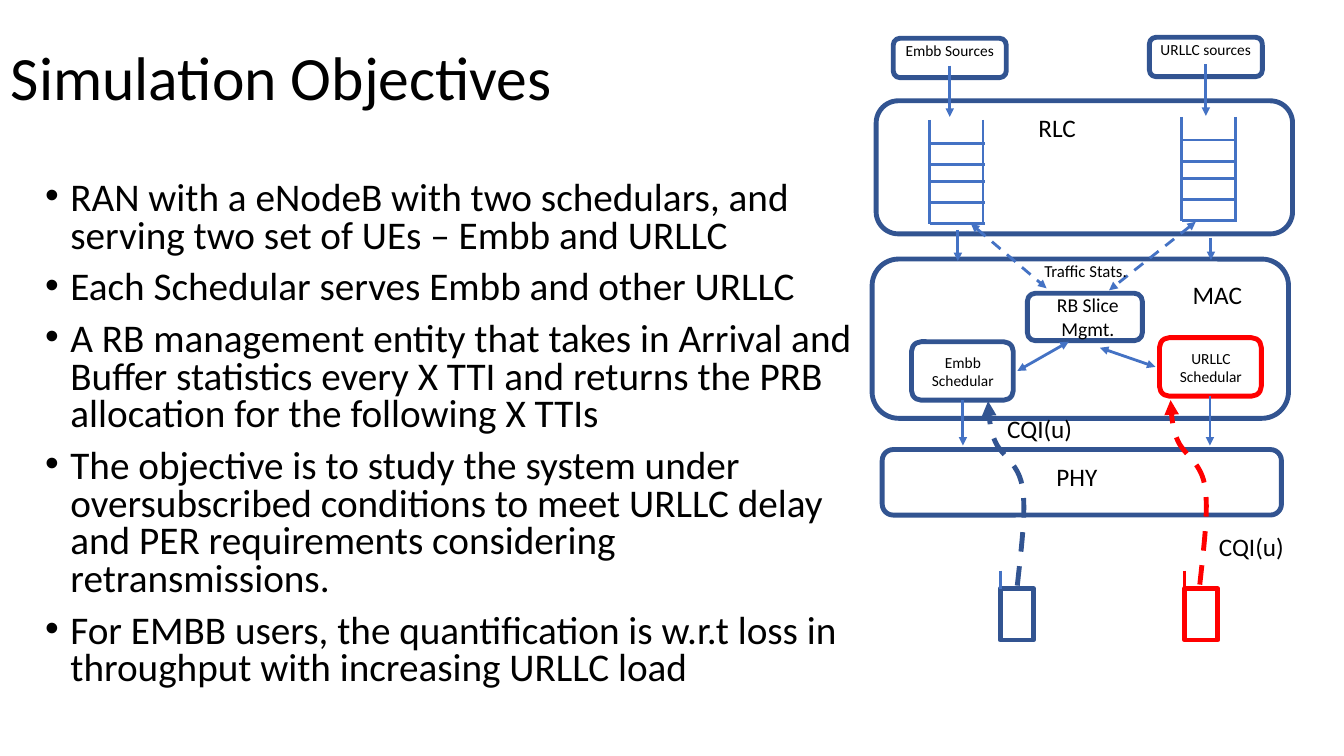
from lxml import etree
from pptx import Presentation
from pptx import util as u
from pptx.dml.color import RGBColor
from pptx.enum import dml, shapes, text
from pptx.oxml import ns

NAVY, BLUE, RED, BLACK = "325491", "4472C4", "FF0000", "000000"


def color(code):
    return RGBColor.from_string(code)


def sub(parent, tag, **attrs):
    return etree.SubElement(parent, ns.qn(tag), **attrs)


def write(par, words, size=18, align=None, space=None, before=0, bullet=False):
    if bullet:
        props = par._p.get_or_add_pPr()
        props.set("marL", str(u.Inches(0.25)))
        props.set("indent", str(u.Inches(-0.25)))
        sub(props, "a:buFont", typeface="Arial")
        sub(props, "a:buChar", char="•")
    par.alignment = align
    par.line_spacing = space
    par.space_before = u.Pt(before)
    run = par.add_run()
    run.text = words
    run.font.size = u.Pt(size)
    run.font.name = "Calibri"
    run.font.color.rgb = color(BLACK)


def bezier(a, b, c, d, steps=12):
    for i in range(1, steps + 1):
        t = i / steps
        s = 1 - t
        yield tuple(s**3 * p + 3 * s * s * t * q + 3 * s * t * t * r + t**3 * e
                    for p, q, r, e in zip(a, b, c, d))


class Board:
    def __init__(self, slide):
        self.items = slide.shapes

    def stroke(self, item, tint, width, dash=False, ends=""):
        item.line.color.rgb = color(tint)
        item.line.width = u.Pt(width)
        if dash:
            item.line.dash_style = dml.MSO_LINE.DASH
        line = item.line._get_or_add_ln()
        for end in ("head", "tail"):
            if end in ends:
                sub(line, f"a:{end}End", type="triangle")

    def text(self, x, y, w, h, lines, anchor=text.MSO_ANCHOR.TOP, **style):
        box = self.items.add_textbox(*map(u.Inches, (x, y, w, h)))
        frame = box.text_frame
        frame.word_wrap = True
        frame.vertical_anchor = anchor
        gap = style.pop("before", 0)
        for i, words in enumerate(lines):
            par = frame.add_paragraph() if i else frame.paragraphs[0]
            write(par, words, before=gap if i else 0, **style)

    def label(self, x, y, w, h, words, size=18):
        self.text(x, y, w, h, [words], size=size)

    def center(self, x, y, w, h, words, size=11):
        self.text(x, y, w, h, [words], size=size, align=text.PP_ALIGN.CENTER)

    def box(self, x, y, w, h, tint=NAVY, kind=shapes.MSO_SHAPE.ROUNDED_RECTANGLE):
        item = self.items.add_shape(kind, *map(u.Inches, (x, y, w, h)))
        item.shadow.inherit = False
        item.fill.background()
        self.stroke(item, tint, 3.5)

    def line(self, x, y, to_x, to_y, tint=BLUE, **style):
        item = self.items.add_connector(
            shapes.MSO_CONNECTOR.STRAIGHT, *map(u.Inches, (x, y, to_x, to_y)))
        self.stroke(item, tint, 2, **style)
        sub(item._element.spPr, "a:effectLst")

    def curve(self, points, tint):
        pts = [(u.Inches(x), u.Inches(y)) for x, y in points]
        path = self.items.build_freeform(*pts[0])
        path.add_line_segments(pts[1:], close=False)
        item = path.convert_to_shape()
        item.shadow.inherit = False
        item.fill.background()
        self.stroke(item, tint, 3.5, dash=True, ends="tail")

    def queue(self, x, y):
        for side in (x, x + 0.53):
            self.line(side, y, side, y + 1.03)
        for drop in (0.23, 0.44, 0.61, 0.82, 1.03):
            self.line(x, y + drop, x + 0.55, y + drop)

    def source(self, x, y, words):
        self.box(x, y, 1.12, 0.39)
        self.center(x - 0.14, y - 0.02, 1.4, 0.29, words)
        self.line(x + 0.56, y + 0.27, x + 0.56, y + 0.78, ends="tail")

    def planner(self, x, y, words, tint):
        self.box(x, y, 1.01, 0.58, tint)
        self.center(x - 0.03, y + 0.06, 1.08, 0.47, words)

    def phone(self, x, tint, mast):
        self.box(x, 5.84, 0.33, 0.51, tint, shapes.MSO_SHAPE.RECTANGLE)
        self.line(x, 5.66, x, 5.84, mast)

    def report(self, dx, dy, tint):
        knots = [(10.09, 5.81), (10.13, 5.43), (10.18, 5.06), (10.14, 4.83),
                 (10.1, 4.59), (9.93, 4.52), (9.87, 4.38),
                 (9.81, 4.24), (9.81, 4.11), (9.8, 3.98)]
        knots = [(x + dx, y + dy) for x, y in knots]
        points = knots[:1]
        for i in range(0, 9, 3):
            points += bezier(*knots[i:i + 4])
        self.curve(points, tint)


def main():
    deck = Presentation()
    deck.slide_width, deck.slide_height = u.Inches(13.33), u.Inches(7.5)
    board = Board(deck.slides.add_slide(deck.slide_layouts[6]))

    board.text(0.01, 0.07, 11.5, 1.45, ["Simulation Objectives"],
               anchor=text.MSO_ANCHOR.MIDDLE, size=44, space=0.9)
    goals = [
        "RAN with a eNodeB with two schedulars, and serving two set of UEs – Embb and URLLC",
        "Each Schedular serves Embb and other URLLC",
        "A RB management entity that takes in Arrival and Buffer statistics every X TTI "
        "and returns the PRB allocation for the following X TTIs",
        "The objective is to study the system under oversubscribed conditions to meet "
        "URLLC delay and PER requirements considering retransmissions.",
        "For EMBB users, the quantification is w.r.t loss in throughput with increasing "
        "URLLC load",
    ]
    board.text(0.35, 1.75, 8.38, 5.27, goals, size=28, space=0.8, before=10, bullet=True)

    board.box(8.69, 1, 4.13, 1.32)
    board.label(10.2, 1.07, 1.12, 0.4, "RLC")
    board.box(8.65, 2.57, 4.13, 1.58)
    board.label(11.73, 2.72, 1.12, 0.4, "MAC")
    board.box(8.75, 4.46, 3.96, 0.65)
    board.label(10.38, 4.53, 0.97, 0.4, "PHY")

    board.source(8.86, 0.38, "Embb Sources")
    board.source(11.4, 0.37, "URLLC sources")
    board.queue(9.22, 1.19)
    board.queue(11.72, 1.16)
    board.planner(9.04, 3.39, "Embb Schedular", NAVY)
    board.planner(11.5, 3.35, "URLLC Schedular", RED)
    board.box(10.19, 2.91, 1.14, 0.47)
    board.center(10.19, 2.86, 1.2, 0.57, "RB Slice Mgmt.", size=14)

    for x, top, end in ((9.5, 2.28, 2.59), (12.01, 2.36, 2.58),
                        (9.55, 3.97, 4.42), (12, 3.93, 4.42)):
        board.line(x, top, x, end, ends="tail")
    board.line(10.6, 3.39, 10.09, 3.68, ends="head tail")
    board.line(10.91, 3.45, 11.46, 3.64, ends="head tail")
    board.line(9.63, 2.22, 10.38, 2.86, dash=True, ends="head tail")
    board.line(11.86, 2.2, 11, 2.88, dash=True, ends="head tail")
    board.label(10.26, 2.54, 1.8, 0.3, "Traffic Stats.", size=12)

    board.phone(9.92, NAVY, BLUE)
    board.phone(11.75, RED, RED)
    board.report(0, 0, NAVY)
    board.report(1.81, -0.01, RED)
    for x, y in ((9.89, 4.05), (11.99, 5.22)):
        board.label(x, y, 0.91, 0.4, "CQI(u)")

    deck.save("out.pptx")


if __name__ == "__main__":
    main()
